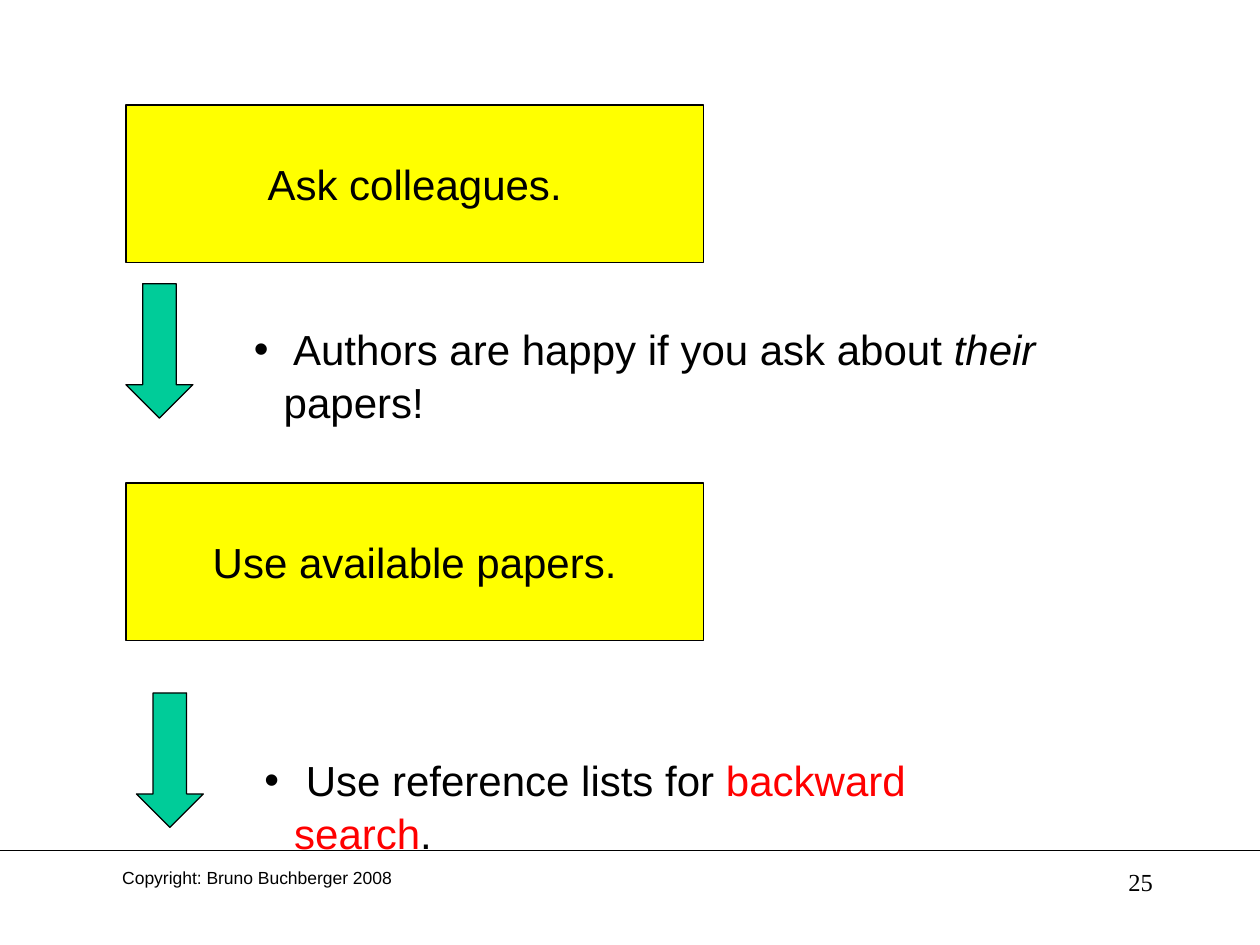
import pptx
import pptx.util
import pptx.dml.color
import pptx.enum.shapes
import pptx.enum.text
import pptx.oxml
import pptx.oxml.ns

Cm, Pt = pptx.util.Cm, pptx.util.Pt
Color = pptx.dml.color.RGBColor
Kind = pptx.enum.shapes.MSO_SHAPE
Align = pptx.enum.text.PP_ALIGN
Anchor = pptx.enum.text.MSO_ANCHOR
Fit = pptx.enum.text.MSO_AUTO_SIZE

BLACK = Color(0x00, 0x00, 0x00)
YELLOW = Color(0xFF, 0xFF, 0x00)
GREEN = Color(0x00, 0xCC, 0x99)
RED = Color(0xFF, 0x00, 0x00)

BODY = {"name": "Arial", "size": Pt(24)}
NOTE = {"name": "Arial", "size": Pt(10)}
PAGE = {"name": "Times New Roman", "size": Pt(14)}
INSET = {"margin_left": Cm(0.25), "margin_right": Cm(0.25),
         "margin_top": Cm(0.13), "margin_bottom": Cm(0.13)}


def apply(item, looks):
    for key, value in looks.items():
        setattr(item, key, value)


def write(frame, runs, font, align):
    """Fill a text frame with one paragraph of (text, color, italic) runs."""
    apply(frame, INSET)
    frame.word_wrap = True
    para = frame.paragraphs[0]
    para.alignment = align
    for text, color, slant in runs:
        run = para.add_run()
        run.text = text
        apply(run.font, {**font, "italic": slant})
        run.font.color.rgb = color
    return para


def block(slide, kind, box, fill):
    """Add an outlined preset shape."""
    shape = slide.shapes.add_shape(kind, *map(Cm, box))
    shape.shadow.inherit = False
    shape.fill.solid()
    shape.fill.fore_color.rgb = fill
    shape.line.color.rgb = BLACK
    shape.line.width = Pt(0.75)
    return shape


def fill_list(holder, box, runs):
    """Move a body placeholder and give it one bullet."""
    apply(holder, dict(zip(("left", "top", "width", "height"), map(Cm, box))))
    frame = holder.text_frame
    apply(frame, {"auto_size": Fit.SHAPE_TO_FIT_TEXT,
                  "vertical_anchor": Anchor.TOP})
    para = write(frame, runs, BODY, Align.LEFT)
    props = para._p.get_or_add_pPr()
    props.set("marL", str(Cm(0.6)))
    props.set("indent", str(-Cm(0.6)))
    space = pptx.oxml.ns.nsdecls("a")
    for xml in (f'<a:buClr {space}><a:srgbClr val="{BLACK}"/></a:buClr>',
                f'<a:buFont {space} typeface="Arial"/>',
                f'<a:buChar {space} char="•"/>'):
        props.append(pptx.oxml.parse_xml(xml))
    apply(para, {"space_before": Pt(0), "line_spacing": 1.05})


def add_step(slide, box, label, shift, holder, place, runs):
    """Add a labelled box, the arrow below it and the bullet beside that."""
    left, top, width, height = box
    # Labelled box
    shape = block(slide, Kind.RECTANGLE, box, YELLOW)
    shape.text_frame.vertical_anchor = Anchor.MIDDLE
    write(shape.text_frame, [(label, BLACK, False)], BODY, Align.CENTER)
    # Arrow
    dx, dy = shift
    arrow = block(slide, Kind.DOWN_ARROW,
                  (left + dx, top + dy, 1.35, 2.71), GREEN)
    arrow.adjustments[0] = 0.5
    arrow.adjustments[1] = 0.5
    # Bullet
    dx, dy, wide = place
    fill_list(holder, (left + dx, top + dy, wide, 1.27), runs)


def add_foot(slide, box):
    """Add the rule, the copyright line and the page number."""
    left, top, width, height = box
    line = slide.shapes.add_connector(
        pptx.enum.shapes.MSO_CONNECTOR.STRAIGHT,
        Cm(left), Cm(top), Cm(left + width), Cm(top))
    line.line.color.rgb = BLACK
    line.line.width = Pt(0.75)
    line._element.spPr.append(pptx.oxml.parse_xml(
        f'<a:effectLst {pptx.oxml.ns.nsdecls("a")}/>'))
    for dx, wide, high, text, font, align in (
            (1.9, 6.56, 0.85, "Copyright: Bruno Buchberger 2008", NOTE,
             Align.CENTER),
            (18.2, 5.29, height, "25", PAGE, Align.RIGHT)):
        area = slide.shapes.add_textbox(
            Cm(left + dx), Cm(top + 0.21), Cm(wide), Cm(high))
        write(area.text_frame, [(text, BLACK, False)], font, align)


def main():
    deck = pptx.Presentation()
    deck.slide_width, deck.slide_height = Cm(25.4), Cm(19.05)
    slide = deck.slides.add_slide(deck.slide_layouts[3])
    title = slide.shapes.title._element
    title.getparent().remove(title)
    first, second = slide.placeholders

    add_foot(slide, (0, 17.14, 26.04, 1.27))
    add_step(slide, (2.54, 2.12, 11.64, 3.18), "Ask colleagues.",
             (0, 3.6), first, (2.33, 4.23, 19.05),
             [(" Authors are happy if you ask about ", BLACK, False),
              ("their", BLACK, True), (" papers!", BLACK, False)])
    add_step(slide, (2.54, 9.74, 11.64, 3.18), "Use available papers.",
             (0.21, 4.23), second, (2.54, 5.29, 16.13),
             [(" Use reference lists for ", BLACK, False),
              ("backward search", RED, False), (".", BLACK, False)])
    deck.save("out.pptx")


if __name__ == "__main__":
    main()
